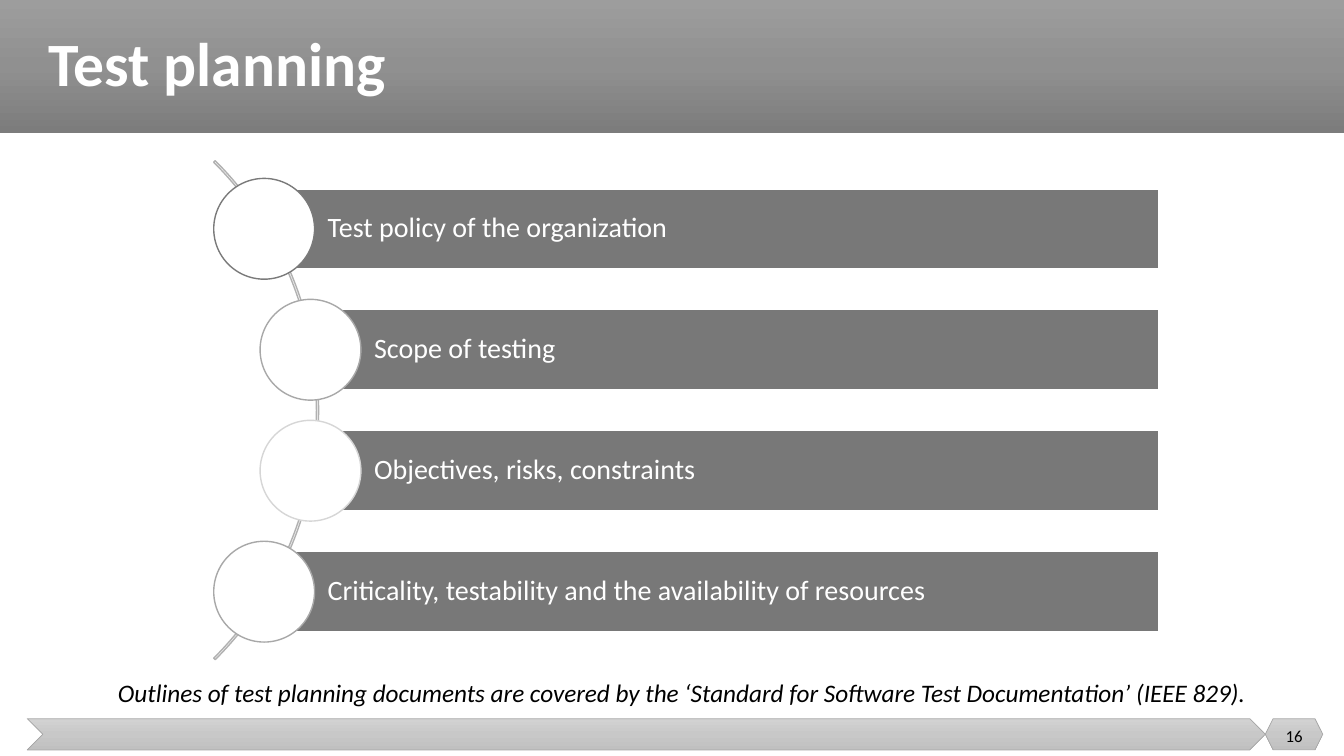
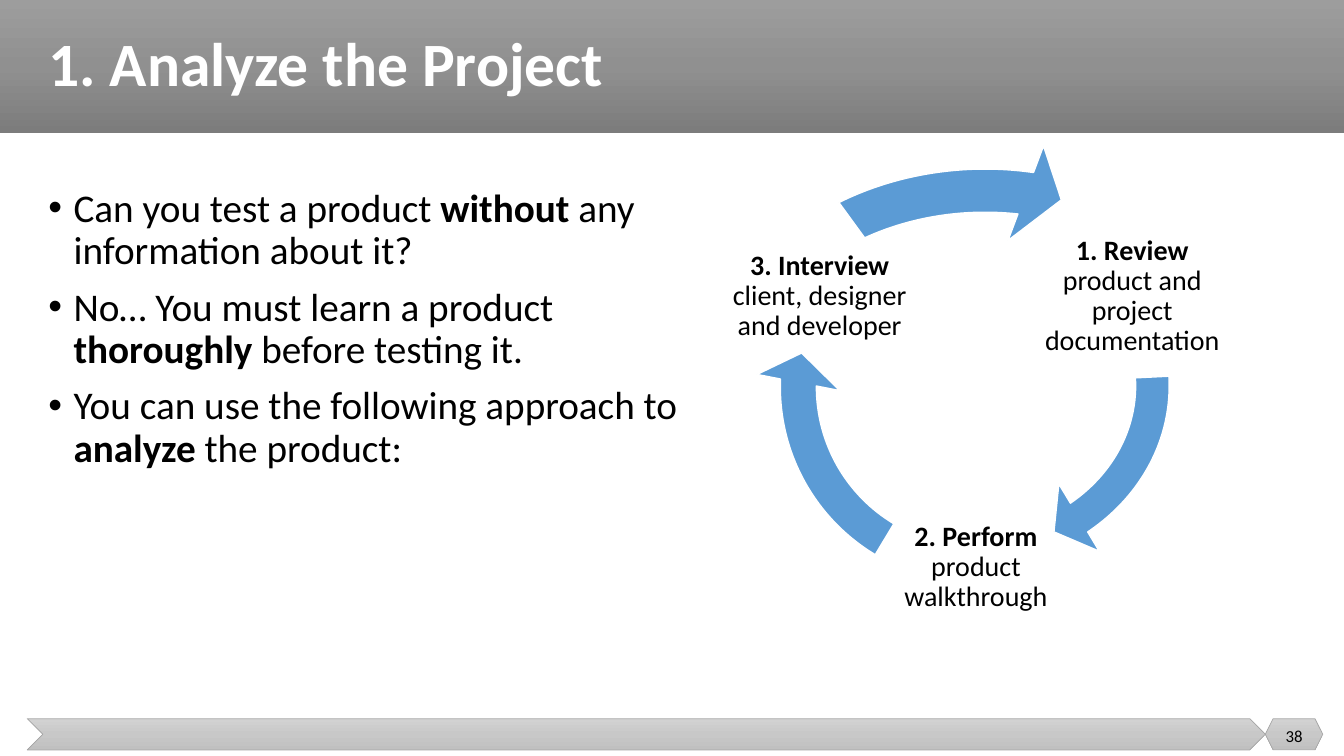
from copy import deepcopy

from lxml import etree
from pptx import Presentation
from pptx.dml.color import RGBColor
from pptx.enum.shapes import MSO_SHAPE
from pptx.enum.text import MSO_ANCHOR, MSO_AUTO_SIZE, PP_ALIGN
from pptx.oxml.ns import qn
from pptx.util import Inches, Pt

RECTANGLE, OVAL = MSO_SHAPE.RECTANGLE, MSO_SHAPE.OVAL
CHEVRON, HEXAGON = MSO_SHAPE.CHEVRON, MSO_SHAPE.HEXAGON
ARC, CIRCULAR_ARROW = MSO_SHAPE.BLOCK_ARC, MSO_SHAPE.CIRCULAR_ARROW
LEFT, CENTER = PP_ALIGN.LEFT, PP_ALIGN.CENTER
TOP, MIDDLE = MSO_ANCHOR.TOP, MSO_ANCHOR.MIDDLE
NO_AUTOFIT = MSO_AUTO_SIZE.NONE

WHITE, BLACK = "FFFFFF", "000000"
BAR_GRAY, ARC_GRAY, ARROW_BLUE = "787878", "B1B1B1", "5B9BD5"
HEADER_GRADIENT = ("9D9D9D", "909090", "7C7C7C")
FOOTER_GRADIENT = ("D2D2D2", "C8C8C8", "C0C0C0")
FOOTER_LINE = ("A5A5A5", 0.5)

DEFAULT_INSETS = (0.1, 0.05, 0.1, 0.05)
TITLE_STYLE = {"size": Pt(44), "bold": True}
BODY_STYLE = {"size": Pt(28)}
CAPTION_STYLE = {"size": Pt(18), "italic": True}
LABEL_STYLE = {"size": Pt(20)}
NUMBER_STYLE = {"size": Pt(12)}


def rgb(color):
    return RGBColor.from_string(color)


class Deck:
    """Holds the shared style and the slide being built."""

    font_name = "Calibri"

    def __init__(self):
        self.presentation = Presentation()
        self.presentation.slide_width = Inches(13.33)
        self.presentation.slide_height = Inches(7.5)
        self.layout = self.presentation.slide_layouts[1]
        self.slide = None
        self.has_bands = False

    def add_slide(self, title, number):
        self.slide = self.presentation.slides.add_slide(self.layout)
        if not self.has_bands:
            self.add_bands()
        self.placeholder(0, (0.38, 0, 12.74, 1.32), [title], TITLE_STYLE,
                         color=WHITE, anchor=MIDDLE)
        self.label((12.55, 7.1, 0.57, 0.4), number, NUMBER_STYLE,
                   insets=DEFAULT_INSETS, spacing=1.0)

    def add_bands(self):
        """Draw the header and footer, then move them to the shared layout."""
        bands = (
            (RECTANGLE, (0, 0, 13.33, 1.32), HEADER_GRADIENT, None),
            (CHEVRON, (0.27, 7.13, 12.28, 0.31), FOOTER_GRADIENT, FOOTER_LINE),
            (HEXAGON, (12.55, 7.13, 0.57, 0.31), FOOTER_GRADIENT, FOOTER_LINE),
        )
        for kind, box, gradient, line in bands:
            band = self.shape(kind, box, line=line)
            self.fill_gradient(band, gradient)
            self.layout.shapes._spTree.append(band._element)
        self.has_bands = True

    def fill_gradient(self, shape, colors):
        """Fill from top to bottom with three evenly spaced colours."""
        shape.fill.gradient()
        shape.fill.gradient_angle = 270
        stop_list = shape._element.spPr.find(qn("a:gradFill")).find(qn("a:gsLst"))
        stop_list.insert(1, deepcopy(stop_list[0]))
        for index, (stop, color) in enumerate(zip(shape.fill.gradient_stops, colors)):
            stop.position = index / 2
            stop.color.rgb = rgb(color)

    def shape(self, kind, box, fill=None, line=None, adjustments=()):
        shape = self.slide.shapes.add_shape(kind, *map(Inches, box))
        shape.shadow.inherit = False
        if fill:
            shape.fill.solid()
            shape.fill.fore_color.rgb = rgb(fill)
        else:
            shape.fill.background()
        if line:
            shape.line.color.rgb = rgb(line[0])
            shape.line.width = Pt(line[1])
        else:
            shape.line.fill.background()
        for index, value in enumerate(adjustments):
            shape.adjustments[index] = value
        return shape

    def fill_text(self, frame, texts, style, color=BLACK, anchor=TOP, align=LEFT,
                  insets=DEFAULT_INSETS, spacing=0.9, bullet=None):
        """Add one paragraph per text; ** switches bold on and off."""
        frame_format = {"word_wrap": True, "auto_size": NO_AUTOFIT,
                        "vertical_anchor": anchor}
        sides = ("margin_left", "margin_top", "margin_right", "margin_bottom")
        frame_format.update(zip(sides, map(Inches, insets)))
        for name, value in frame_format.items():
            setattr(frame, name, value)
        for index, text in enumerate(texts):
            paragraph = frame.add_paragraph() if index else frame.paragraphs[0]
            self.set_bullet(paragraph, bullet)
            paragraph.alignment = align
            paragraph.line_spacing = spacing
            paragraph.space_before = Pt(10 if index else 0)
            for part, content in enumerate(text.split("**")):
                if not content:
                    continue
                run = paragraph.add_run()
                run.text = content
                run_format = {"name": self.font_name, "bold": part % 2 == 1, **style}
                for name, value in run_format.items():
                    setattr(run.font, name, value)
                run.font.color.rgb = rgb(color)

    def set_bullet(self, paragraph, bullet):
        properties = paragraph._p.get_or_add_pPr()
        indent = Inches(0.25) if bullet else 0
        properties.set("marL", str(indent))
        properties.set("indent", str(-indent))
        if bullet:
            etree.SubElement(properties, qn("a:buChar")).set("char", bullet)
        else:
            etree.SubElement(properties, qn("a:buNone"))

    def placeholder(self, index, box, texts, style, **text_format):
        holder = self.slide.placeholders[index]
        for name, value in zip(("left", "top", "width", "height"), box):
            setattr(holder, name, Inches(value))
        self.fill_text(holder.text_frame, texts, style, **text_format)

    def label(self, box, text, style=LABEL_STYLE, insets=(0.03,) * 4, spacing=0.9):
        frame = self.slide.shapes.add_textbox(*map(Inches, box)).text_frame
        self.fill_text(frame, [text], style, anchor=MIDDLE, align=CENTER,
                       insets=insets, spacing=spacing)

    def topic_bar(self, left, top, text, ring_color):
        """Draw a bar ending at the common right edge, with a ring on its left end."""
        bar = self.shape(RECTANGLE, (left, top, 11.5 - left, 0.8), BAR_GRAY, (WHITE, 1.5))
        self.fill_text(bar.text_frame, [text], LABEL_STYLE, color=WHITE,
                       anchor=MIDDLE, insets=(0.63, 0.06, 0.06, 0.06))
        self.shape(OVAL, (left - 0.5, top - 0.1, 1, 1), WHITE, (ring_color, 1))

    def cycle_arrow(self, box, head_end, tail_start):
        self.shape(CIRCULAR_ARROW, box, ARROW_BLUE, (WHITE, 1),
                   (0.082, 5.758, head_end, tail_start, 0.096))


def add_planning_slide(deck):
    deck.add_slide("Test planning", "16")
    deck.placeholder(
        1, (1.07, 6.7, 11.6, 0.4),
        ["Outlines of test planning documents are covered by the "
         "‘Standard for Software Test Documentation’ (IEEE 829)."],
        CAPTION_STYLE)
    deck.shape(ARC, (-3.84, 0.57, 7, 7), line=(ARC_GRAY, 1),
               adjustments=(189, 27, 0.003))
    topics = (
        (2.62, "Test policy of the organization", "7A7A7A"),
        (3.08, "Scope of testing", "A8A8A8"),
        (3.08, "Objectives, risks, constraints", "D6D6D6"),
        (2.62, "Criticality, testability and the availability of resources", "A8A8A8"),
    )
    for row, (left, text, ring_color) in enumerate(topics):
        deck.topic_bar(left, 1.87 + 1.2 * row, text, ring_color)


def add_analysis_slide(deck):
    deck.add_slide("1. Analyze the Project", "38")
    deck.placeholder(
        1, (0.38, 1.82, 6.8, 5.19),
        ["Can you test a product **without** any information about it?",
         "No… You must learn a product **thoroughly **before testing it.",
         "You can use the following approach to **analyze** the product:"],
        BODY_STYLE, bullet="•")
    steps = (
        ((10.31, 2.13, 1.84, 1.62), "**1. Review** product and project documentation",
         (7.35, 1.8, 4.47, 4.06), 29.655, 214.342),
        ((8.76, 5.14, 1.84, 0.98), "**2. Perform** product walkthrough",
         (7.5, 1.66, 4.36, 4.36), 108.866, 72.587),
        ((7.21, 2.39, 1.84, 1.1), "**3. Interview** client, designer and developer",
         (6.67, 1.39, 6.2, 5.22), 168.583, 140.372),
    )
    for label_box, text, arrow_box, head_end, tail_start in steps:
        deck.label(label_box, text)
        deck.cycle_arrow(arrow_box, head_end, tail_start)


def main():
    deck = Deck()
    add_planning_slide(deck)
    add_analysis_slide(deck)
    deck.presentation.save("out.pptx")


if __name__ == "__main__":
    main()
